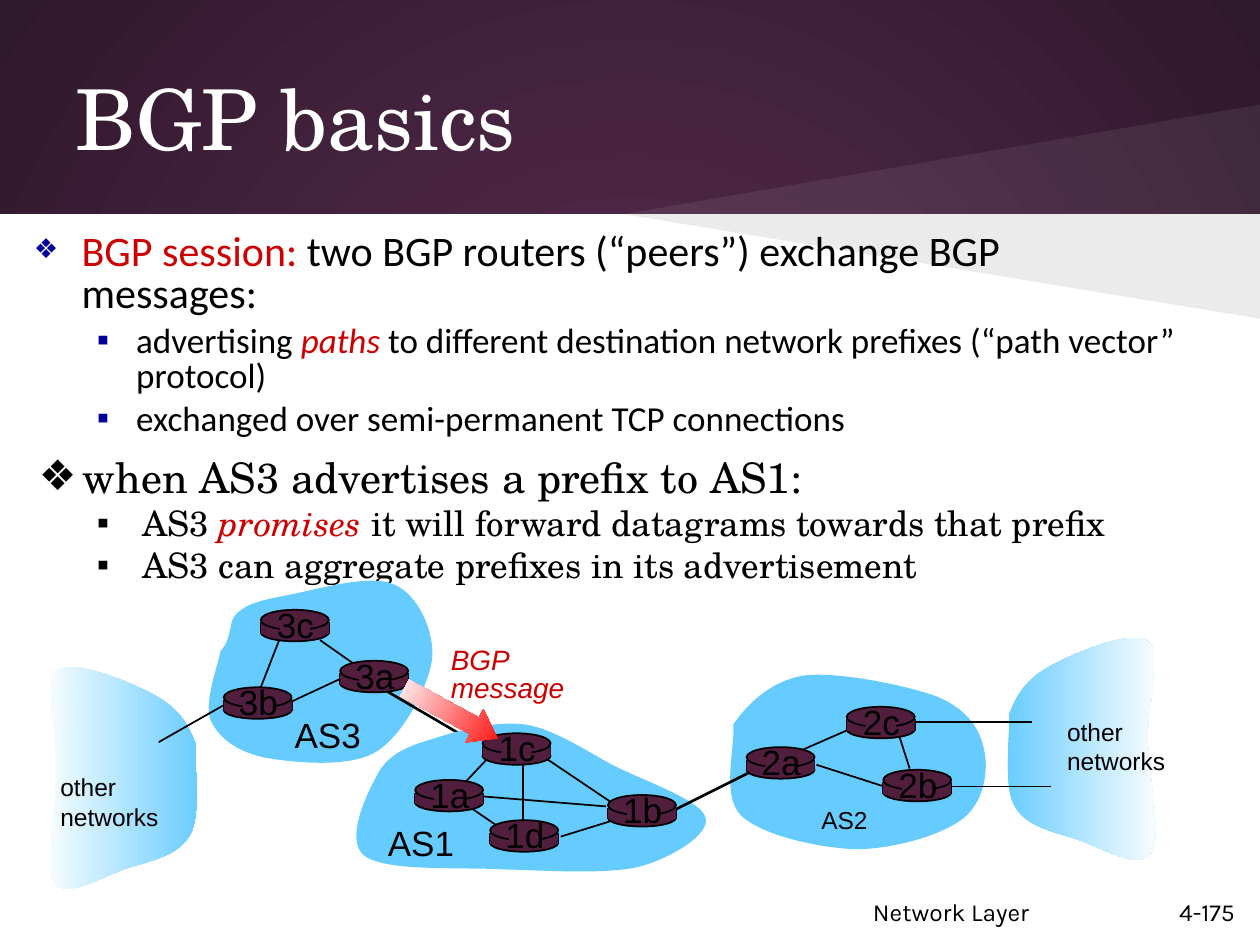
import lxml.etree
import pptx
import pptx.dml.color
import pptx.enum.shapes
import pptx.enum.text
import pptx.oxml.ns
import pptx.util

COLORS = {"plum": "592D50", "night": "30182B", "white": "FFFFFF", "black": "000000",
          "sky": "66CCFF", "router": "511E3E", "accent": "CC0000", "navy": "000099", "red": "FF0000"}
SHAPE = pptx.enum.shapes.MSO_SHAPE
ALIGN = pptx.enum.text.PP_ALIGN
ANCHOR = pptx.enum.text.MSO_ANCHOR
CELL = pptx.util.Inches(0.1)

SLAB = [(.5, 6.8), (1.1, 5.2), (1.9, 4), (3.7, 3), (5.5, 2), (10.2, 0), (11.5, 1),
        (12.8, 1.9), (11.4, 6), (11.5, 8.8), (11.5, 11.7), (12.7, 16.6), (11.7, 17.9),
        (10.8, 19.2), (7.7, 17.3), (5.9, 16.7), (4, 16.1), (1.8, 15.7), (.9, 14),
        (0, 12.4), (.6, 8.3), (.5, 6.8)]
AS3 = {"cloud": [(1.3, 6.2), (2.4, 4.9), (1.8, 3.8), (2.7, 3.1), (3.6, 2.3), (4.8, 2.1), (6.8, 1.7),
                 (8.9, 1.3), (13.2, 0), (15.1, .9), (17, 1.7), (18.3, 4.6), (18.1, 6.8),
                 (17.8, 9), (15.8, 12.9), (13.6, 14.2), (11.4, 15.5), (6.8, 15), (4.7, 14.6),
                 (2.5, 14.1), (1.1, 13), (.5, 11.6), (0, 10.2), (1.1, 7.3), (1.3, 6.2)],
       "links": [(6.9, 10.2, 11.2, 8.2, 1), (14.4, 9.3, 22.1, 13.8, 1.5), (11.9, 7.2, 9.2, 5.3, 1),
                 (6, 5.2, 4.4, 9.3, 1), (1.5, 10.5, -3.6, 13.4, 1)],
       "routers": {"3b": (1.55, 9.05), "3c": (4.5, 2.9), "3a": (10.8, 6.95)},
       "label": ("AS3", (6.2, 10.6, 7.3, 4.3), 20)}
AS1 = {"cloud": [(2.8, 4), (3.8, 2.4), (5.5, 1.9), (7.5, 1.3), (9.4, .7), (12.1, 0), (14.4, .3),
                 (16.7, .7), (18.9, 2.2), (21.3, 3.5), (23.6, 4.7), (28.4, 6.3), (28.7, 7.7),
                 (29.1, 9), (26, 10.9), (23.4, 11.6), (20.7, 12.2), (16.3, 11.9), (12.7, 11.8),
                 (9.1, 11.6), (3.3, 12), (1.6, 10.7), (0, 9.4), (1.9, 5.6), (2.8, 4)],
       "links": [(11.4, 3, 9.7, 4.8, 1), (14.2, 3.4, 14.2, 8.4, 1), (15.9, 2.9, 21.4, 6.6, 1),
                 (21.4, 7.9, 17.2, 9.2, 1), (20.8, 6.8, 10.9, 6, 1), (9.9, 6.8, 12.1, 8.3, 1)],
       "routers": {"1c": (11, 1), "1a": (5.65, 4.7), "1d": (11.6, 7.9), "1b": (20.95, 5.9)},
       "label": ("AS1", (2.5, 7.5, 7.3, 4.3), 20)}
AS2 = {"cloud": [(1, 4.2), (2.1, 2.6), (4, .7), (6.7, .3), (9.4, 0), (14.8, 1.1), (17.2, 2),
                 (19.6, 3), (20.6, 4.6), (20.9, 6.2), (21.3, 7.8), (20.9, 10.4), (19.2, 11.7),
                 (17.5, 13), (13.7, 14.1), (10.7, 14.1), (7.8, 14), (3.2, 13), (1.6, 11.4),
                 (0, 9.8), (1.2, 5.8), (1, 4.2)],
       "links": [(5.6, 6.6, 10.4, 4.5, 1), (15.4, 4, 24.7, 4, .75), (18.1, 9.1, 26.2, 9.1, .75),
                 (7.6, 7.4, 12.9, 9.1, 1), (14.2, 5.2, 15, 7.7, 1), (-3.5, 10.9, 2.3, 8, 1.5)],
       "routers": {"2a": (2.05, 6), "2c": (10, 2.8), "2b": (12.9, 7.8)},
       "label": ("AS2", (7, 10.1, 6.7, 4), 14)}


def rgb(name):
    return pptx.dml.color.RGBColor.from_string(COLORS[name])


def qualified(tag):
    return pptx.oxml.ns.qn(tag)


def add_xml(parent, tag, **values):
    return lxml.etree.SubElement(parent, qualified(tag), values)


def cells(*lengths):
    return [round(length * CELL) for length in lengths]


def within(box, left, top, *size):
    return (box[0] + left, box[1] + top, *size)


def fill_gradient(fill, names):
    fill.gradient()
    for stop, name in zip(fill.gradient_stops, names):
        stop.color.rgb = rgb(name)


def paint(shape, fill, line=None, alpha=None):
    shape.shadow.inherit = False
    if isinstance(fill, tuple):
        fill_gradient(shape.fill, fill)
        shape.fill.gradient_angle = 0
    else:
        shape.fill.solid()
        shape.fill.fore_color.rgb = rgb(fill)
    if alpha:
        add_xml(shape.element.find(".//" + qualified("a:srgbClr")), "a:alpha", val=str(alpha * 1000))
    if line:
        shape.line.color.rgb = rgb(line)
        shape.line.width = pptx.util.Pt(1)
    else:
        shape.line.fill.background()
    return shape


def add_preset(page, kind, box, fill, line=None):
    return paint(page.shapes.add_shape(kind, *cells(*box)), fill, line)


def add_outline(page, box, points, fill, alpha=None):
    places = [cells(*within(box, *point)) for point in points]
    builder = page.shapes.build_freeform(*places[0], scale=1.0)
    builder.add_line_segments(places[1:], close=True)
    return paint(builder.convert_to_shape(), fill, alpha=alpha)


def add_curve(page, box, points, fill):
    outline = add_outline(page, box, points, fill)
    segments = outline.element.findall(".//" + qualified("a:lnTo"))
    for first in range(0, len(segments), 3):
        curve = lxml.etree.Element(qualified("a:cubicBezTo"))
        segments[first].addprevious(curve)
        for segment in segments[first:first + 3]:
            curve.append(segment[0])
            segment.getparent().remove(segment)


def add_link(page, box, left, top, right, bottom, width):
    ends = cells(*within(box, left, top), *within(box, right, bottom))
    link = page.shapes.add_connector(pptx.enum.shapes.MSO_CONNECTOR.STRAIGHT, *ends)
    link.line.color.rgb = rgb("black")
    link.line.width = pptx.util.Pt(width)
    add_xml(link.element.spPr, "a:effectLst")


def add_span(para, text, size, face, color="black", italic=None):
    span = para.add_run()
    span.text = text
    formats = {"size": pptx.util.Pt(size), "name": face, "italic": italic}
    for name, value in formats.items():
        setattr(span.font, name, value)
    span.font.color.rgb = rgb(color)


def add_label(page, box, lines, size, face="Arial", color="black", italic=None, **layout):
    frame = page.shapes.add_textbox(*cells(*box)).text_frame
    frame.word_wrap = False
    for index, line in enumerate(lines):
        para = frame.add_paragraph() if index else frame.paragraphs[0]
        for name, value in layout.items():
            setattr(para, name, value)
        add_span(para, line, size, face, color, italic)


def add_bullets(page, box, inset, face, levels, items, **spacing):
    frame = page.shapes.add_textbox(*cells(*box)).text_frame
    formats = {"word_wrap": True, "margin_top": cells(inset)[0], "margin_bottom": cells(inset)[0]}
    for name, value in formats.items():
        setattr(frame, name, value)
    for index, (level, spans) in enumerate(items):
        para = frame.add_paragraph() if index else frame.paragraphs[0]
        margin, hang, size, mark, color, scale = levels[level]
        settings = para._p.get_or_add_pPr()
        settings.set("marL", str(cells(margin)[0]))
        settings.set("indent", str(cells(-hang)[0]))
        add_xml(add_xml(settings, "a:buClr"), "a:srgbClr", val=COLORS[color])
        add_xml(settings, "a:buSzPct", val=str(scale * 1000))
        add_xml(settings, "a:buFont", typeface="Arial")
        add_xml(settings, "a:buChar", char=mark)
        para.level = level
        for name, value in spacing.items():
            if index or name != "space_before":
                setattr(para, name, value)
        for text, *style in spans:
            add_span(para, text, size, face, *style)


def draw_backdrop(page, box):
    fill_gradient(page.background.fill, ("plum", "night"))
    linear = page.element.find(".//" + qualified("a:lin"))
    gradient = linear.getparent()
    gradient.remove(linear)
    circle = add_xml(gradient, "a:path", path="circle")
    add_xml(circle, "a:fillToRect", l="50000", t="50000", r="50000", b="50000")
    add_preset(page, SHAPE.RECTANGLE, within(box, 0, 17, 100, 58), "white")
    for edge, color, alpha in ((8.3, "white", 7), (25.3, "black", 8)):
        add_outline(page, box, [(100, 17), (49.5, 17), (100, edge)], color, alpha)


def draw_title(page, box):
    title = page.shapes.title
    for name, value in zip(("left", "top", "width", "height"), cells(*box)):
        setattr(title, name, value)
    frame = title.text_frame
    frame.vertical_anchor = ANCHOR.MIDDLE
    frame.paragraphs[0].alignment = ALIGN.LEFT
    add_span(frame.paragraphs[0], "BGP basics", 48, "TeX Gyre Schola", "white")


def draw_other_networks(page, box, mirrored, label):
    points, fill = SLAB, ("sky", "white")
    if mirrored:
        points, fill = [(12.8 - x, y) for x, y in points], fill[::-1]
    add_curve(page, box, points, fill)
    add_label(page, within(box, *label, 9.8, 5.7), ["other", "networks"], 14)


def draw_router(page, box, name):
    add_preset(page, SHAPE.OVAL, within(box, 0, 1.1, 5.4, 1.4), "router", "black")
    for side in (0, 5.4):
        add_link(page, box, side, 1, side, 1.9, 1)
    add_preset(page, SHAPE.RECTANGLE, within(box, 0, 1, 5.4, .9), "router")
    add_preset(page, SHAPE.OVAL, within(box, 0, 0, 5.4, 1.6), "router", "black")
    add_preset(page, SHAPE.RECTANGLE, within(box, 1.5, .2, 2.4, 2.1), "router")
    add_label(page, within(box, .2, -1, 5.1, 4.3), [name], 20, alignment=ALIGN.CENTER)


def draw_system(page, box, system):
    add_curve(page, box, system["cloud"], "sky")
    for link in system["links"]:
        add_link(page, box, *link)
    for name, place in system["routers"].items():
        draw_router(page, within(box, *place), name)
    text, place, size = system["label"]
    add_label(page, within(box, *place), [text], size)


def draw_message(page, box):
    arrow = add_preset(page, SHAPE.LEFT_ARROW, within(box, 0, 4.2, 8.4, 3), ("red", "white"))
    arrow.rotation = 208.5
    arrow.adjustments[0], arrow.adjustments[1] = .5, .7
    add_label(page, within(box, 3.2, 0, 11, 5.6), ["BGP", "message"], 16,
              color="accent", italic=True, line_spacing=.85)


def main():
    deck = pptx.Presentation()
    deck.slide_width, deck.slide_height = cells(100, 75)
    page = deck.slides.add_slide(deck.slide_layouts[5])
    draw_backdrop(page, (0, 0))
    draw_title(page, (5, 3, 90, 12.5))
    add_bullets(page, (.9, 34.8, 90, 32), 1, "TeX Gyre Schola",
                [(4.7, 3.5, 24, "❖", "black", 100), (9.4, 3.6, 20, "▪", "black", 100)],
                [(0, [("when AS3 advertises a prefix to AS1:",)]),
                 (1, [("AS3 ",), ("promises", "accent", True),
                      (" it will forward datagrams towards that prefix",)]),
                 (1, [("AS3 can aggregate prefixes in its advertisement",)])])
    draw_other_networks(page, (79.6, 49.9), False, (4.1, 6.5))
    draw_other_networks(page, (3.2, 52.2), True, (.6, 8.6))
    draw_system(page, (16.2, 45.5), AS3)
    draw_system(page, (27.3, 57.2), AS1)
    draw_system(page, (57.2, 53.3), AS2)
    add_bullets(page, (1.7, 17.9, 93, 21.8), .5, "Calibri",
                [(3.8, 3.8, 24, "❖", "navy", 65), (8.13, 3.13, 20, "▪", "navy", 100)],
                [(0, [("BGP session: ", "accent"),
                      ("two BGP routers (“peers”) exchange BGP messages:",)]),
                 (1, [("advertising ",), ("paths ", "accent", True),
                      ("to different destination network prefixes (“path vector” protocol)",)]),
                 (1, [("exchanged over semi-permanent TCP connections",)])],
                line_spacing=.85, space_before=pptx.util.Pt(4))
    draw_message(page, (31.6, 50.9))
    add_label(page, (68.3, 70.7, 31.7, 3.1), ["Network Layer"], 14, "Karla", alignment=ALIGN.LEFT)
    add_label(page, (92.6, 70.7, 7.4, 3), ["4-175"], 14, "Karla", alignment=ALIGN.LEFT)
    deck.save("out.pptx")


if __name__ == "__main__":
    main()
